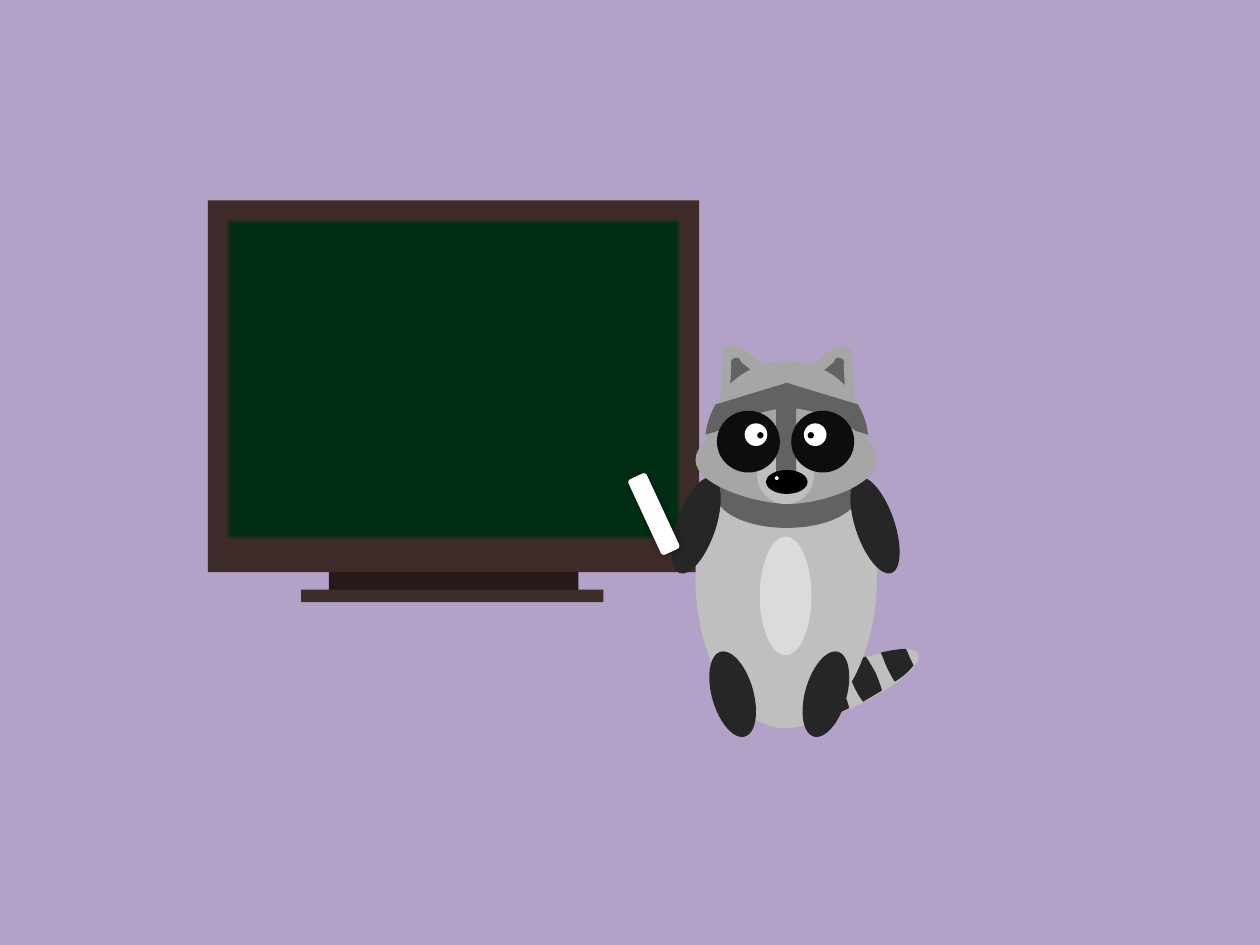
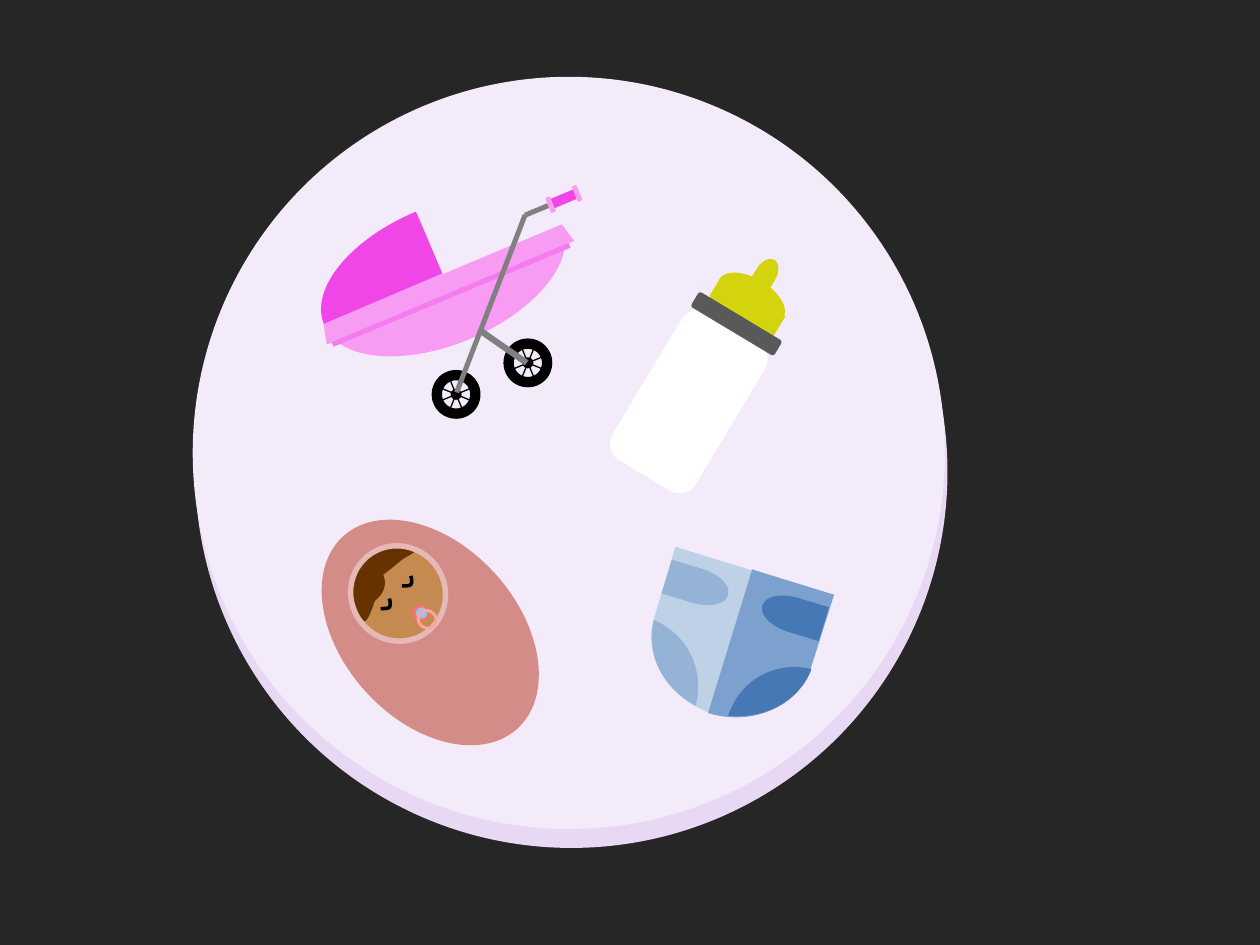
from dataclasses import dataclass
from math import cos, radians, sin

from lxml.etree import SubElement
from pptx import Presentation
from pptx.dml.color import RGBColor
from pptx.enum.shapes import MSO_CONNECTOR as Connector, MSO_SHAPE as Kind
from pptx.oxml.ns import qn
from pptx.util import Inches, Pt


@dataclass(frozen=True)
class Theme:
    # Classroom
    lilac: str = "B3A2C7"
    wood: str = "3E2C2A"
    dark_wood: str = "251A19"
    board: str = "002E15"
    # Raccoon
    fur: str = "A6A6A6"
    light_fur: str = "BFBFBF"
    belly: str = "DBDBDB"
    mask: str = "626262"
    charcoal: str = "262626"
    eye: str = "0D0D0D"
    gleam: str = "2C2C2C"
    black: str = "000000"
    white: str = "FFFFFF"
    # Nursery
    plate: str = "F3EBF9"
    plate_edge: str = "E8D8F4"
    pink: str = "F79BF3"
    trim: str = "F47CEE"
    magenta: str = "F046E8"
    steel: str = "808080"
    teat: str = "D4D40E"
    collar: str = "595959"
    blanket: str = "D48C88"
    blanket_edge: str = "E6B9B8"
    skin: str = "C58A4F"
    hair: str = "663300"
    coral: str = "FC7070"
    sky: str = "95C2F3"
    peach: str = "FDA5A5"
    pale_denim: str = "BFD1E7"
    light_denim: str = "95B3D7"
    denim: str = "7CA1CE"
    dark_denim: str = "4578B5"
    # Line widths in points
    spoke: float = 0.75
    bold: float = 2


THEME = Theme()
MIRROR = 12.47  # left plus right edge of anything centred on the raccoon


# Shared helpers
def set_format(target, values):
    for name, value in values.items():
        setattr(target, name, value)


def paint(shape, color=None, line=None):
    shape.shadow.inherit = False
    for part, tint in ((shape.fill, color), (shape.line.fill, line)):
        if tint:
            part.solid()
            part.fore_color.rgb = RGBColor.from_string(tint)
        else:
            part.background()
    if line:
        shape.line.width = Pt(THEME.bold)
    return shape


def draw(page, kind, at, color, angle=0, adjust=None, line=None):
    shape = page.shapes.add_shape(kind, *map(Inches, at))
    set_format(shape, {"rotation": angle % 360})
    if adjust is not None:
        shape.adjustments[0] = adjust
    return paint(shape, color, line)


def draw_pair(page, kind, at, color, angle=0, mirror=MIRROR):
    left, top, width, height = at
    return (draw(page, kind, at, color, angle),
            draw(page, kind, (mirror - left - width, top, width, height), color, -angle))


def turn(x, y, angle):
    c, s = cos(radians(angle)), sin(radians(angle))
    return x * c - y * s, x * s + y * c


def draw_outline(page, color, angle, start, *segments, line=None):
    """A segment of two numbers is a straight line; one of six is a curve."""
    steps = [[turn(Inches(x), Inches(y), -angle) for x, y in zip(step[::2], step[1::2])]
             for step in (start, *segments)]
    ends = [step[-1] for step in steps]
    builder = page.shapes.build_freeform(*ends[0])
    builder.add_line_segments(ends[1:], close=color is not None)
    shape = builder.convert_to_shape()
    left, top = shape.left, shape.top
    for straight, step in zip(list(shape._element.iter(qn("a:lnTo"))), steps[1:]):
        if len(step) == 3:
            curve = SubElement(straight.getparent(), qn("a:cubicBezTo"))
            for x, y in step:
                SubElement(curve, qn("a:pt"), x=str(round(x - left)), y=str(round(y - top)))
            straight.getparent().replace(straight, curve)
    x, y = turn(left + shape.width / 2, top + shape.height / 2, angle)
    set_format(shape, {"left": round(x - shape.width / 2), "top": round(y - shape.height / 2),
                       "rotation": angle})
    return paint(shape, color, line)


def add_effect(shape, name, **values):
    effects = shape._element.spPr.find(qn("a:effectLst"))
    return SubElement(effects, qn(name), {key: str(value) for key, value in values.items()})


def add_shadow(shape):
    shadow = add_effect(shape, "a:outerShdw", blurRad=Pt(5), dist=0, dir=0)
    tint = SubElement(shadow, qn("a:srgbClr"), val=THEME.black)
    SubElement(tint, qn("a:alpha"), val="40000")


def add_page(deck, color):
    page = deck.slides.add_slide(deck.slide_layouts[6])
    page.background.fill.solid()
    page.background.fill.fore_color.rgb = RGBColor.from_string(color)
    return page


# Classroom
def draw_board(page):
    draw(page, Kind.RECTANGLE, (1.65, 1.59, 3.9, 2.95), THEME.wood)
    surface = draw(page, Kind.RECTANGLE, (1.77, 1.72, 3.65, 2.58), THEME.board)
    add_effect(surface, "a:softEdge", rad=Pt(2.5))
    draw(page, Kind.RECTANGLE, (2.61, 4.54, 1.98, 0.17), THEME.dark_wood)
    draw(page, Kind.RECTANGLE, (2.39, 4.68, 2.4, 0.1), THEME.wood)


def draw_ears(page):
    bar, tip = Kind.ROUNDED_RECTANGLE, Kind.OVAL
    for kind, at, color, angle in (
        (bar, (5.76, 2.88, 0.48, 0.19), THEME.fur, 39.1),
        (bar, (5.58, 2.96, 0.48, 0.19), THEME.fur, 273.6),
        (tip, (5.73, 2.74, 0.17, 0.16), THEME.fur, 336.4),
        (bar, (5.8, 2.91, 0.22, 0.08), THEME.mask, 39.1),
        (bar, (5.73, 2.94, 0.22, 0.08), THEME.mask, 273.6),
        (tip, (5.8, 2.84, 0.08, 0.07), THEME.mask, 336.4),
    ):
        draw_pair(page, kind, at, color, angle, mirror=12.5)


def draw_tail(page):
    draw(page, Kind.OVAL, (6.05, 5.3, 1.3, 0.33), THEME.light_fur, 335)
    stripes = (
        ((6.41, 5.59), (6.43, 5.64, 6.45, 5.68, 6.46, 5.73),
         (6.39, 5.75, 6.33, 5.76, 6.28, 5.77), (6.26, 5.74, 6.25, 5.71, 6.23, 5.68),
         (6.22, 5.64, 6.2, 5.61, 6.19, 5.58), (6.23, 5.54, 6.28, 5.51, 6.34, 5.47),
         (6.36, 5.5, 6.39, 5.55, 6.41, 5.59)),
        ((6.68, 5.47), (6.71, 5.52, 6.73, 5.58, 6.74, 5.62),
         (6.68, 5.65, 6.63, 5.67, 6.58, 5.69), (6.55, 5.65, 6.53, 5.6, 6.5, 5.55),
         (6.48, 5.5, 6.46, 5.45, 6.45, 5.4), (6.5, 5.38, 6.55, 5.35, 6.6, 5.33),
         (6.63, 5.36, 6.66, 5.41, 6.68, 5.47)),
        ((6.95, 5.34), (6.97, 5.39, 6.99, 5.44, 7, 5.48),
         (6.95, 5.51, 6.9, 5.54, 6.85, 5.57), (6.82, 5.53, 6.79, 5.48, 6.77, 5.43),
         (6.74, 5.37, 6.72, 5.32, 6.71, 5.27), (6.77, 5.25, 6.82, 5.23, 6.87, 5.21),
         (6.9, 5.25, 6.92, 5.29, 6.95, 5.34)),
        ((7.22, 5.22), (7.23, 5.24, 7.24, 5.26, 7.25, 5.28),
         (7.22, 5.32, 7.17, 5.37, 7.1, 5.41), (7.08, 5.38, 7.06, 5.34, 7.04, 5.3),
         (7.02, 5.26, 7.01, 5.22, 6.99, 5.18), (7.07, 5.16, 7.14, 5.15, 7.19, 5.15),
         (7.2, 5.17, 7.21, 5.19, 7.22, 5.22)),
    )
    for stripe in stripes:
        draw_outline(page, THEME.charcoal, 155, *stripe)


def draw_face(page):
    draw(page, Kind.MOON, (5.93, 2.54, 0.63, 1.28), THEME.fur, 90, 0.875)
    brow = ((6.24, 3.04), (6.22, 3.04, 6.21, 3.05, 6.21, 3.07), (6.17, 3.2),
            (6.16, 3.22, 6.17, 3.24, 6.19, 3.24), (6.89, 3.45),
            (6.88, 3.36, 6.85, 3.28, 6.81, 3.21), (6.25, 3.04),
            (6.25, 3.04, 6.24, 3.04, 6.24, 3.04))
    mirrored = [tuple(12.49 - value if i % 2 == 0 else value
                      for i, value in enumerate(segment)) for segment in brow]
    for side, angle in ((brow, 16.3), (mirrored, 343.7)):
        draw_outline(page, THEME.mask, angle, *side)
    draw_outline(page, THEME.fur, 0, (5.52, 3.65), (5.52, 3.44, 6.02, 3.24, 6.26, 3.24),
                 (6.5, 3.24, 6.96, 3.44, 6.96, 3.65), (6.96, 3.86, 6.5, 4, 6.26, 4),
                 (6.02, 4, 5.52, 3.86, 5.52, 3.65))
    draw(page, Kind.OVAL, (6.01, 3.55, 0.45, 0.45), THEME.light_fur)
    draw(page, Kind.ROUNDED_RECTANGLE, (6.16, 3.21, 0.16, 0.6), THEME.mask)
    draw_pair(page, Kind.OVAL, (5.69, 3.26, 0.5, 0.49), THEME.eye)
    draw_pair(page, Kind.OVAL, (5.91, 3.36, 0.18, 0.18), THEME.white)
    for gleam in draw_pair(page, Kind.OVAL, (5.72, 3.45, 0.22, 0.21), THEME.gleam):
        add_shadow(gleam)
        add_effect(gleam, "a:softEdge", rad=Pt(10))
    draw(page, Kind.OVAL, (6.08, 3.73, 0.33, 0.19), THEME.black)
    draw(page, Kind.OVAL, (6.15, 3.78, 0.03, 0.03), THEME.white)
    draw_pair(page, Kind.OVAL, (6.01, 3.43, 0.05, 0.05), THEME.black)


def draw_raccoon(page):
    draw_ears(page)
    draw_tail(page)
    draw(page, Kind.OVAL, (5.52, 3.38, 1.44, 2.4), THEME.light_fur)
    draw(page, Kind.OVAL, (5.68, 3.65, 1.13, 0.54), THEME.mask)
    draw_pair(page, Kind.OVAL, (5.37, 3.77, 0.31, 0.8), THEME.charcoal, 18.9)
    draw_face(page)
    draw_pair(page, Kind.OVAL, (5.65, 5.16, 0.33, 0.7), THEME.charcoal, 344, mirror=12.37)
    draw(page, Kind.OVAL, (6.03, 4.26, 0.41, 0.94), THEME.belly)


def draw_chalk(page):
    add_shadow(draw(page, Kind.ROUNDED_RECTANGLE, (5.11, 3.75, 0.16, 0.66), THEME.white, 335.1))


# Nursery
def draw_wheel(page, x, y, tilt):
    for kind, radius, adjust in ((Kind.FLOWCHART_CONNECTOR, 0.03, None),
                                 (Kind.DONUT, 0.18, 0.149)):
        draw(page, kind, (x - radius, y - radius, 2 * radius, 2 * radius),
             THEME.black, tilt, adjust, THEME.black)
    for spoke in range(4):
        dx, dy = turn(0.18, 0, 22.5 + 45 * spoke)
        ends = map(Inches, (x - dx, y - dy, x + dx, y + dy))
        bar = page.shapes.add_connector(Connector.STRAIGHT, *ends)
        bar.line.color.rgb = RGBColor.from_string(THEME.black)
        bar.line.width = Pt(THEME.spoke)
        SubElement(bar._element.spPr, qn("a:effectLst"))


def draw_stroller(page):
    tilt = 337.3
    draw(page, Kind.RECTANGLE, (4.16, 1.65, 0.2, 0.04), THEME.steel, tilt)
    draw_outline(page, THEME.pink, tilt, (3.31, 1.69), (3.52, 2.19), (4.46, 1.8),
                 (4.58, 2.07, 4.25, 2.47, 3.73, 2.69), (3.21, 2.91, 2.69, 2.86, 2.58, 2.59),
                 (2.46, 2.31, 2.79, 1.91, 3.31, 1.69))
    draw(page, Kind.TRAPEZOID, (2.48, 2.17, 2.13, 0.16), THEME.pink, tilt)
    draw(page, Kind.RECTANGLE, (2.56, 2.32, 2.04, 0.04), THEME.trim, tilt)
    for center in ((4.19, 2.88), (3.62, 3.13)):
        draw_wheel(page, *center, tilt)
    draw(page, Kind.RECTANGLE, (3.78, 2.73, 0.44, 0.05), THEME.steel, 34.8)
    draw_outline(page, THEME.magenta, tilt, (3.3, 1.68), (3.51, 2.17), (2.57, 2.57),
                 (2.46, 2.29, 2.78, 1.9, 3.3, 1.68))
    draw(page, Kind.RECTANGLE, (3.14, 2.39, 1.51, 0.04), THEME.steel, 111.1)
    draw(page, Kind.ROUNDED_RECTANGLE, (4.43, 1.47, 0.08, 0.22), THEME.magenta, 67.3)
    for left, top in ((4.35, 1.56), (4.56, 1.47)):
        draw(page, Kind.ROUNDED_RECTANGLE, (left, top, 0.04, 0.13), THEME.pink, tilt)


def draw_bottle(page):
    draw(page, Kind.ROUNDED_RECTANGLE, (5.08, 2.51, 0.77, 1.36), THEME.white, 31, 0.189)
    for at in ((5.95, 2.09, 0.26, 0.17), (5.81, 2.07, 0.31, 0.59)):
        draw(page, Kind.FLOWCHART_DELAY, at, THEME.teat, 301)
    draw(page, Kind.RECTANGLE, (5.63, 2.34, 0.59, 0.22), THEME.teat, 31)
    draw(page, Kind.ROUNDED_RECTANGLE, (5.46, 2.5, 0.77, 0.14), THEME.collar, 31)


def draw_baby(page):
    tilt, dummy_tilt = 319.9, 308.8
    draw(page, Kind.OVAL, (2.72, 3.99, 1.39, 2.06), THEME.blanket, 317.9)
    draw(page, Kind.FLOWCHART_CONNECTOR, (2.79, 4.33, 0.75, 0.75), THEME.skin, tilt)
    locks = (
        (tilt, (2.89, 4.93), (2.85, 4.91, 2.79, 4.74, 2.79, 4.66),
         (2.8, 4.57, 2.91, 4.4, 2.94, 4.41), (2.97, 4.43, 2.93, 4.61, 2.93, 4.66),
         (2.92, 4.7, 2.98, 4.7, 2.98, 4.75), (2.97, 4.79, 2.92, 4.94, 2.89, 4.93)),
        (tilt, (2.92, 4.66), (2.93, 4.59, 2.91, 4.49, 2.92, 4.46),
         (2.94, 4.44, 2.88, 4.35, 3.01, 4.5), (3.16, 4.72, 2.89, 4.81, 2.88, 4.84),
         (2.86, 4.87, 2.92, 4.72, 2.92, 4.66)),
        (345.6, (2.98, 4.59), (2.93, 4.59, 2.88, 4.47, 2.91, 4.43),
         (2.93, 4.39, 3.11, 4.31, 3.12, 4.32), (3.12, 4.34, 3.03, 4.32, 3.09, 4.33),
         (3.14, 4.31, 3.26, 4.35, 3.28, 4.37), (3.31, 4.38, 3.26, 4.4, 3.21, 4.43),
         (3.16, 4.46, 3.03, 4.59, 2.98, 4.59)),
    )
    for lock in locks:
        draw_outline(page, THEME.hair, *lock)
    draw(page, Kind.DONUT, (2.78, 4.32, 0.76, 0.78), THEME.blanket_edge, tilt, 0.02,
         THEME.blanket_edge)
    for x, y in ((3.09, 4.75), (3.26, 4.57)):
        draw_outline(page, None, 133.4, (x, y),
                     (x + 0.01, y + 0.03, x + 0.01, y + 0.06, x, y + 0.07),
                     (x - 0.01, y + 0.08, x - 0.04, y + 0.08, x - 0.07, y + 0.08),
                     line=THEME.black)
    # Dummy
    for at, color in (((3.27, 4.8, 0.13, 0.13), THEME.coral), ((3.3, 4.82, 0.09, 0.09), THEME.sky)):
        draw(page, Kind.FLOWCHART_CONNECTOR, at, color, dummy_tilt)
    draw(page, Kind.DONUT, (3.31, 4.83, 0.16, 0.17), THEME.peach, dummy_tilt, 0.141)


def draw_nappy(page):
    tilt = 16.9
    draw_outline(page, THEME.pale_denim, 106.9, (5.36, 4.34), (6.01, 4.54), (5.67, 5.67),
                 (5.31, 5.56, 5.1, 5.22, 5.19, 4.91))
    draw(page, Kind.FLOWCHART_DELAY, (5.28, 4.51, 0.51, 0.28), THEME.light_denim, tilt)
    draw_outline(page, THEME.light_denim, tilt, (5.19, 4.92),
                 (5.45, 5.03, 5.6, 5.32, 5.52, 5.6), (5.26, 5.46, 5.12, 5.19, 5.19, 4.92))
    draw_outline(page, THEME.denim, 286.9, (6.62, 4.72), (5.97, 4.52), (5.62, 5.66),
                 (5.98, 5.77, 6.35, 5.6, 6.44, 5.29))
    patch = draw(page, Kind.FLOWCHART_DELAY, (6.04, 4.74, 0.51, 0.28), THEME.dark_denim, tilt)
    patch._element.spPr.find(qn("a:xfrm")).set("flipH", "1")
    draw_outline(page, THEME.dark_denim, tilt, (6.44, 5.31),
                 (6.15, 5.24, 5.87, 5.4, 5.78, 5.68), (6.07, 5.71, 6.35, 5.56, 6.44, 5.31))


def main():
    deck = Presentation()
    set_format(deck, {"slide_width": Inches(10), "slide_height": Inches(7.5)})
    classroom = add_page(deck, THEME.lilac)
    for draw_part in (draw_board, draw_raccoon, draw_chalk):
        draw_part(classroom)
    nursery = add_page(deck, THEME.charcoal)
    draw(nursery, Kind.OVAL, (1.55, 0.76, 5.97, 5.97), THEME.plate_edge)
    draw(nursery, Kind.OVAL, (1.53, 0.61, 5.97, 5.97), THEME.plate)
    for draw_part in (draw_stroller, draw_bottle, draw_baby, draw_nappy):
        draw_part(nursery)
    deck.save("out.pptx")


if __name__ == "__main__":
    main()
